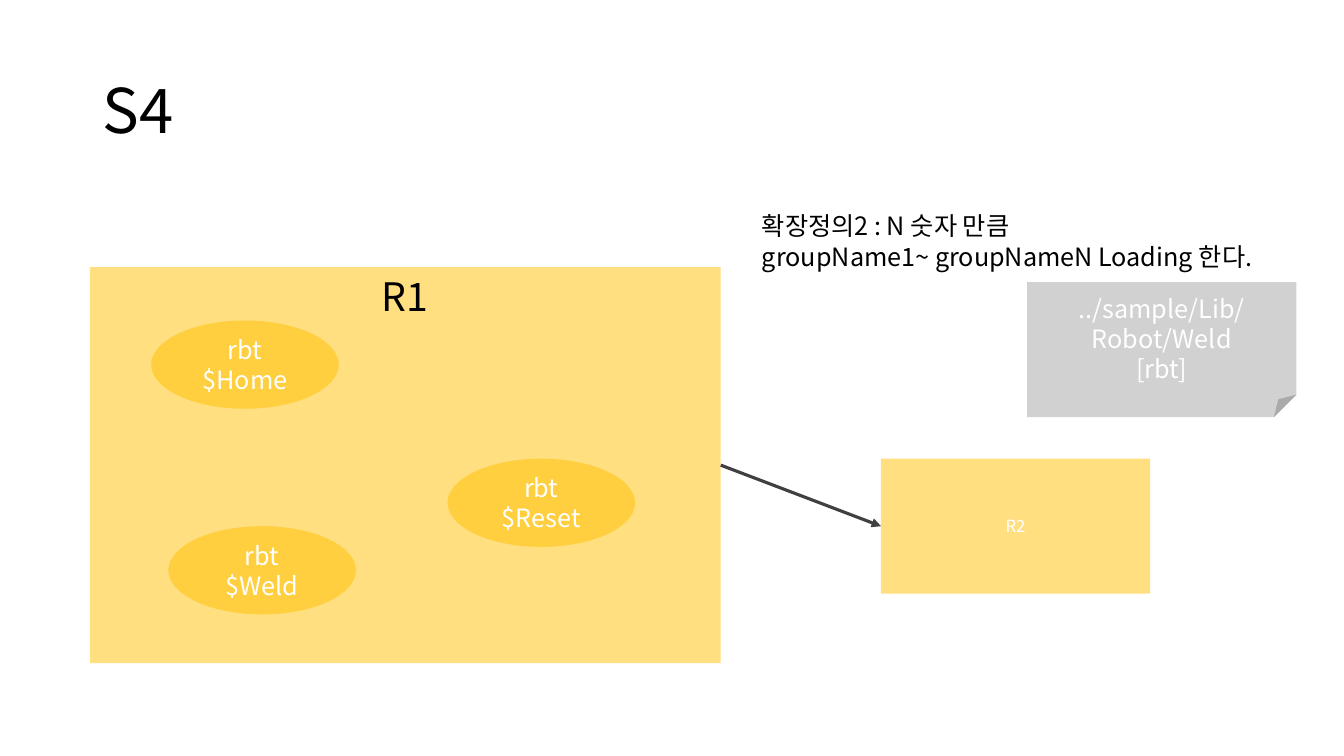
from lxml import etree
from pptx import Presentation
from pptx.dml.color import RGBColor
from pptx.enum.shapes import MSO_CONNECTOR as CONN, MSO_SHAPE as SHAPE
from pptx.enum.text import MSO_ANCHOR as ANCHOR, PP_ALIGN as ALIGN
from pptx.oxml.ns import qn
from pptx.util import Inches, Pt

FONT = "Noto Sans CJK KR"
COLORS = {"amber": "FFC000", "gray": "A5A5A5", "arrow": "404040",
          "black": "000000", "white": "FFFFFF"}

# Positions and sizes are percentages of the slide's width and height.
TITLE = ("S4", (6.9, 5.33), (86.25, 19.33))
NOTE = ("확장정의2 : N 숫자 만큼\ngroupName1~ groupNameN Loading 한다.",
        (55.95, 27.2), (40.95, 9.47))
SYSTEM = ("R1", (6.68, 35.33), (46.95, 52.4))
ACTIONS = [("rbt $Home", (11.25, 42.4)),
           ("rbt $Reset", (33.3, 60.67)),
           ("rbt $Weld", (12.53, 69.6))]
ACTION_SIZE = (13.95, 11.67)
TARGET = ("R2", (65.55, 60.67))
LIBRARY = ("../sample/Lib/Robot/Weld\n[rbt]", (76.43, 37.33))
CARD_SIZE = (20.03, 17.87)

prs = Presentation()
prs.slide_width, prs.slide_height = Inches(13.33), Inches(7.5)
slide = prs.slides.add_slide(prs.slide_layouts[6])


def box(pos, size):
    (x, y), (w, h) = pos, size
    return [round(share * full / 100) for share, full in
            ((x, prs.slide_width), (y, prs.slide_height),
             (w, prs.slide_width), (h, prs.slide_height))]


def write(sp, text, size, color, align=ALIGN.LEFT, anchor=ANCHOR.MIDDLE):
    tf = sp.text_frame
    tf.text = text
    tf.vertical_anchor = anchor
    for p in tf.paragraphs:
        p.alignment = align
        for r in p.runs:
            r.font.size, r.font.name = Pt(size), FONT
            r.font.color.rgb = RGBColor.from_string(COLORS[color])
            east = etree.SubElement(r.font._element, qn("a:ea"))
            east.set("typeface", FONT)
    return tf


def add_block(shapes, kind, text, pos, size, fill, points,
              color="white", anchor=ANCHOR.MIDDLE):
    """Add a borderless, half-transparent shape with centred text."""
    sp = shapes.add_shape(kind, *box(pos, size))
    sp.shadow.inherit = False
    sp.fill.solid()
    sp.fill.fore_color.rgb = RGBColor.from_string(COLORS[fill])
    rgb = sp._element.spPr.find(qn("a:solidFill"))[0]
    etree.SubElement(rgb, qn("a:alpha")).set("val", "50000")
    sp.line.fill.background()
    tf = write(sp, text, points, color, ALIGN.CENTER, anchor)
    tf.word_wrap = True
    return sp


def add_arrow(source, target):
    """Join the right side of source to the left side of target."""
    cx = slide.shapes.add_connector(CONN.STRAIGHT, 0, 0, 0, 0)
    cx.begin_connect(source, 3)
    cx.end_connect(target, 1)
    cx.line.width = Pt(2.25)
    cx.line.color.rgb = RGBColor.from_string(COLORS["arrow"])
    etree.SubElement(cx.line._get_or_add_ln(), qn("a:tailEnd")).set("type", "triangle")
    etree.SubElement(cx._element.spPr, qn("a:effectLst"))


text, pos, size = TITLE
tf = write(slide.shapes.add_textbox(*box(pos, size)), text, 44, "black")
tf.word_wrap = True
tf.paragraphs[0].line_spacing = 0.9

target = add_block(slide.shapes, SHAPE.RECTANGLE, *TARGET, CARD_SIZE, "amber", 12)
group = slide.shapes.add_group_shape()
system = add_block(group.shapes, SHAPE.RECTANGLE, *SYSTEM, "amber", 28,
                   "black", ANCHOR.TOP)
for text, pos in ACTIONS:
    add_block(group.shapes, SHAPE.OVAL, text, pos, ACTION_SIZE, "amber", 18)
add_arrow(system, target)

add_block(slide.shapes, SHAPE.FOLDED_CORNER, *LIBRARY, CARD_SIZE, "gray", 18)
text, pos, size = NOTE
tf = write(slide.shapes.add_textbox(*box(pos, size)), text, 18, "black",
           anchor=ANCHOR.TOP)
tf.word_wrap = False

prs.save("out.pptx")
